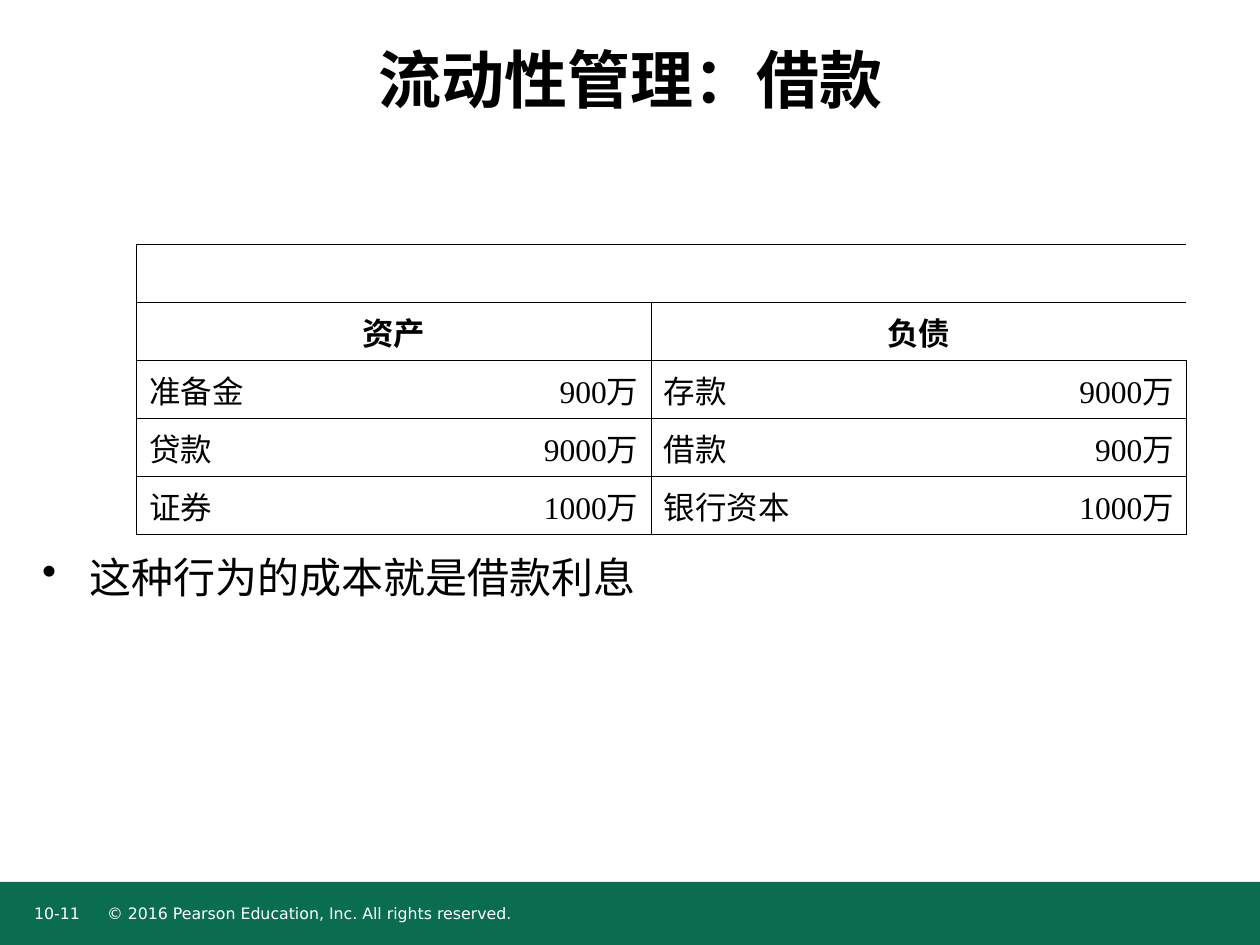
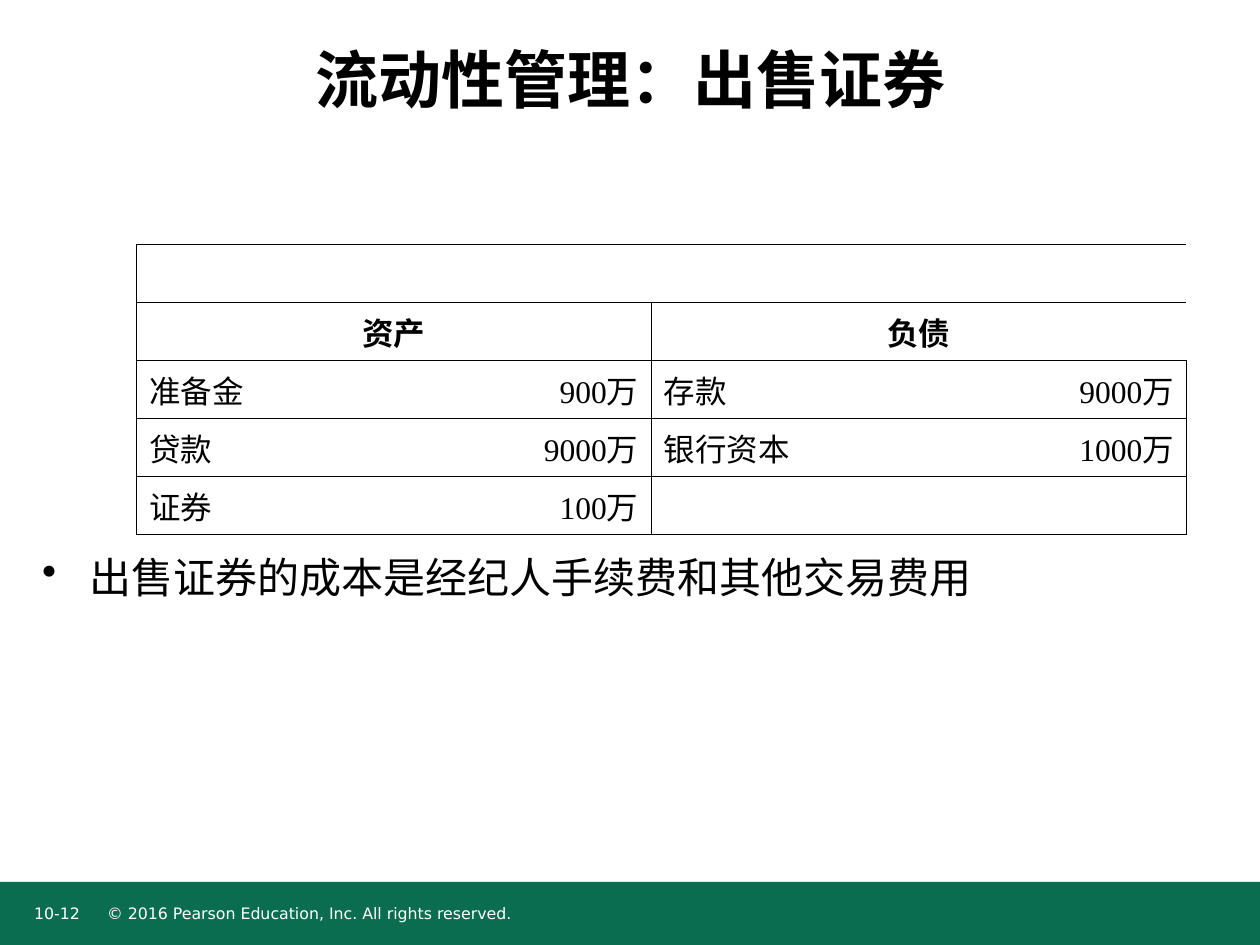
import pptx
import pptx.dml.color
import pptx.enum.shapes
import pptx.enum.text
import pptx.oxml
import pptx.oxml.ns
import pptx.util
import lxml.etree

GREEN = pptx.dml.color.RGBColor(0x0B, 0x6D, 0x4F)
WHITE = pptx.dml.color.RGBColor(0xFF, 0xFF, 0xFF)
BLACK = pptx.dml.color.RGBColor(0x00, 0x00, 0x00)
SANS = "DejaVu Sans"
SERIF = "Times New Roman"
LEFT, CENTER, RIGHT = (pptx.enum.text.PP_ALIGN.LEFT, pptx.enum.text.PP_ALIGN.CENTER,
                       pptx.enum.text.PP_ALIGN.RIGHT)

# The slide is a grid of 24 columns by 30 rows; boxes are (column, row, columns, rows)
COLUMN = pptx.util.Inches(10) / 24
ROW = pptx.util.Inches(7.5) / 30
BAND_BOX = (0, 28, 24, 2)
TITLE_BOX = (1, 0, 22, 5)
TABLE_BOX = (2.6, 7.76, 20, 9.2)
BULLET_BOX = (0.8, 17.52, 22.4, 9.48)

COPYRIGHT = "© 2016 Pearson Education, Inc. All rights reserved."
COLUMN_SHARES = (0.24, 0.25, 0.28, 0.23)
THIN, THICK = 0.45, 0.75


def place(box):
    """Turn a grid box into left, top, width and height."""
    column, row, columns, rows = box
    return [round(length) for length in
            (column * COLUMN, row * ROW, columns * COLUMN, rows * ROW)]


def write(frame, text, size, font=SANS, color=BLACK, bold=False, align=LEFT):
    para = frame.paragraphs[0]
    para.alignment = align
    span = para.add_run()
    span.text = text
    span.font.size = pptx.util.Pt(size)
    span.font.name = font
    span.font.bold = bold
    span.font.color.rgb = color
    return para


def add_text(page, box, text, middle=False, **style):
    frame = page.shapes.add_textbox(*place(box)).text_frame
    frame.word_wrap = True
    frame.margin_left = frame.margin_top = frame.margin_right = frame.margin_bottom = 0
    if middle:
        frame.vertical_anchor = pptx.enum.text.MSO_ANCHOR.MIDDLE
    return write(frame, text, **style)


def add_footer(page, box, number):
    """Green band with the page number and the copyright line."""
    band = page.shapes.add_shape(pptx.enum.shapes.MSO_SHAPE.RECTANGLE, *place(box))
    band.shadow.inherit = False
    band.fill.solid()
    band.fill.fore_color.rgb = GREEN
    band.line.fill.background()
    column, row, columns, rows = box
    for text, offset, width in ((COPYRIGHT, 2.04, 14.16), (number, 0.65, 0.94)):
        add_text(page, (column + offset, row + 0.34 * rows, width, 0.4 * rows), text,
                 size=9, color=WHITE)


def add_bullet(page, box, text):
    para = add_text(page, box, text, size=24)
    properties = para._p.get_or_add_pPr()
    indent = pptx.util.Inches(0.38)
    properties.set("marL", str(indent))
    properties.set("indent", str(-indent))
    mark = lxml.etree.SubElement(properties, pptx.oxml.ns.qn("a:buChar"))
    mark.set("char", "•")


def set_borders(cell, **widths):
    """Draw the named sides (L, R, T, B) in black and hide the others."""
    properties = cell._tc.get_or_add_tcPr()
    for side in "LRTB":
        line = lxml.etree.SubElement(properties, pptx.oxml.ns.qn(f"a:ln{side}"))
        if side in widths:
            line.set("w", str(pptx.util.Pt(widths[side])))
            fill = lxml.etree.SubElement(line, pptx.oxml.ns.qn("a:solidFill"))
            color = lxml.etree.SubElement(fill, pptx.oxml.ns.qn("a:srgbClr"))
            color.set("val", str(BLACK))
        else:
            line.set("w", "0")
            lxml.etree.SubElement(line, pptx.oxml.ns.qn("a:noFill"))


def add_balance_sheet(page, box, entries):
    """Empty heading row, asset and liability heads, then name and amount pairs."""
    left, top, width, height = place(box)
    rows = len(entries) + 2
    table = page.shapes.add_table(rows, 4, left, top, width, height).table
    table.first_row = table.horz_banding = False
    for column, share in zip(table.columns, COLUMN_SHARES):
        column.width = round(width * share)
    for row in table.rows:
        row.height = round(height / rows)

    # Borders enclose each pair of columns, with a thicker rule under the heads
    for r in range(rows):
        for c in range(4):
            cell = table.cell(r, c)
            sides = {"T": THICK if r == 2 else THIN, "B": THICK if r == 1 else THIN}
            if c == 0 or (c == 2 and r > 0):
                sides["L"] = THIN
            if c == 3 or (c == 1 and r > 0):
                sides["R"] = THIN
            set_borders(cell, **sides)
            cell.fill.background()

    table.cell(0, 0).merge(table.cell(0, 3))
    for c, head in ((0, "资产"), (2, "负债")):
        table.cell(1, c).merge(table.cell(1, c + 1))
        write(table.cell(1, c).text_frame, head, size=18, font=SERIF, bold=True,
              align=CENTER)
    for r, entry in enumerate(entries, start=2):
        for c, text in enumerate(entry):
            write(table.cell(r, c).text_frame, text, size=18, font=SERIF,
                  align=RIGHT if c % 2 else LEFT)


def add_page(deck, number, title, entries, remark):
    page = deck.slides.add_slide(deck.slide_layouts[6])
    add_footer(page, BAND_BOX, number)
    add_text(page, TITLE_BOX, title, middle=True, size=36, bold=True, align=CENTER)
    add_bullet(page, BULLET_BOX, remark)
    add_balance_sheet(page, TABLE_BOX, entries)


def main():
    deck = pptx.Presentation()
    deck.slide_width = pptx.util.Inches(10)
    deck.slide_height = pptx.util.Inches(7.5)
    add_page(deck, "10-11", "流动性管理：借款",
             [("准备金", "900万", "存款", "9000万"),
              ("贷款", "9000万", "借款", "900万"),
              ("证券", "1000万", "银行资本", "1000万")],
             "这种行为的成本就是借款利息")
    add_page(deck, "10-12", "流动性管理：出售证券",
             [("准备金", "900万", "存款", "9000万"),
              ("贷款", "9000万", "银行资本", "1000万"),
              ("证券", "100万")],
             "出售证券的成本是经纪人手续费和其他交易费用")
    deck.save("out.pptx")


if __name__ == "__main__":
    main()
